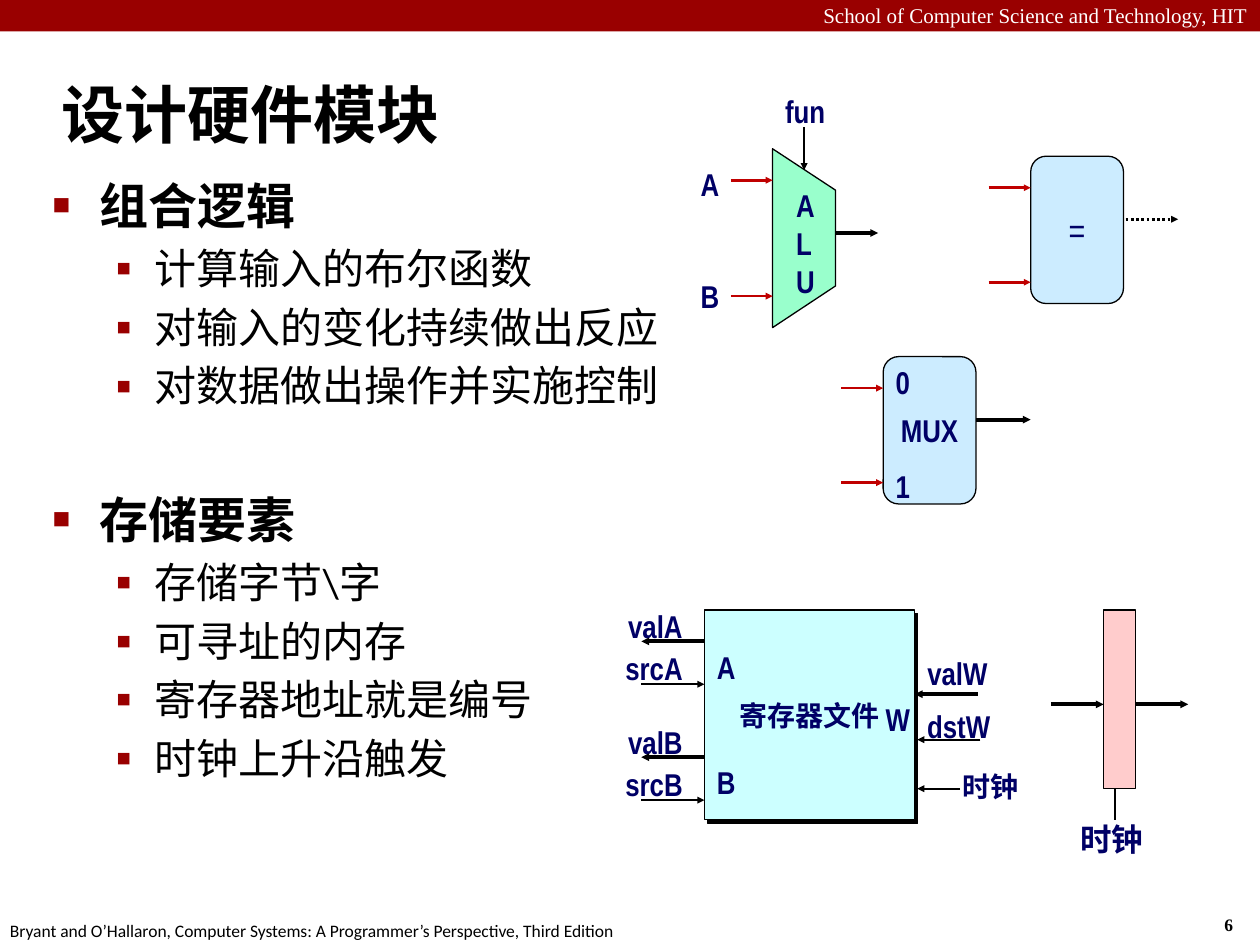
from lxml import etree
from pptx import Presentation
from pptx.dml.color import RGBColor
from pptx.enum.dml import MSO_LINE
from pptx.enum.shapes import MSO_CONNECTOR, MSO_SHAPE
from pptx.enum.text import MSO_ANCHOR, PP_ALIGN
from pptx.oxml.ns import qn
from pptx.util import Pt

RECT, ROUNDED, OVAL = MSO_SHAPE.RECTANGLE, MSO_SHAPE.ROUNDED_RECTANGLE, MSO_SHAPE.OVAL
LEFT, CENTER, RIGHT = PP_ALIGN.LEFT, PP_ALIGN.CENTER, PP_ALIGN.RIGHT
MIDDLE, TOP = MSO_ANCHOR.MIDDLE, MSO_ANCHOR.TOP
STRAIGHT = MSO_CONNECTOR.STRAIGHT
DOTTED = MSO_LINE.ROUND_DOT
BLACK, NAVY, CRIMSON, RED = "000000", "000066", "990000", "C00000"
color = RGBColor.from_string

prs = Presentation()
prs.slide_width, prs.slide_height = Pt(720), Pt(540)
slide = prs.slides.add_slide(prs.slide_layouts[5])
shapes = slide.shapes


def part(kind, box, text="", size=18, align=CENTER, fill=None, font="Arial Narrow",
         ink=NAVY, bold=True, wrap=True, inset=7.2, spacing=None):
    box = [Pt(v) for v in box]
    shape = shapes.add_shape(kind, *box) if kind else shapes.add_textbox(*box)
    if kind:
        shape.shadow.inherit = False
        shape.line.fill.background()
        shape.fill.background()
    if fill:
        shape.fill.solid()
        shape.fill.fore_color.rgb = color(fill)
        shape.line.color.rgb = color(BLACK)
        shape.line.width = Pt(0.75)
    frame = shape.text_frame
    frame.word_wrap = wrap
    frame.vertical_anchor = MIDDLE if kind else TOP
    frame.margin_left = frame.margin_right = Pt(inset)
    frame.text = text
    for paragraph in frame.paragraphs:
        paragraph.alignment = align
        paragraph.line_spacing = spacing
        for run in paragraph.runs:
            run.font.name, run.font.size, run.font.bold = font, Pt(size), bold
            run.font.color.rgb = color(ink)
    return shape


def wire(x1, y1, x2, y2, width=2.25, ink=BLACK, head=True, dash=None):
    line = shapes.add_connector(STRAIGHT, Pt(x1), Pt(y1), Pt(x2), Pt(y2))
    line.line.color.rgb = color(ink)
    line.line.width = Pt(width)
    if dash:
        line.line.dash_style = dash
    if head:
        etree.SubElement(line.line._get_or_add_ln(), qn("a:tailEnd"),
                         type="triangle", w="sm", len="sm")
    etree.SubElement(line._element.spPr, qn("a:effectLst"))


header = part(RECT, (0, 0, 720, 18), fill=CRIMSON)
header.line.fill.background()
part(None, (0, -2.2, 720, 21.8), "School of Computer Science and Technology, HIT", 12, RIGHT,
     font="Times New Roman", ink="FFFFFF", bold=False)
part(None, (692.6, 519, 26.6, 19.4), "6", 10, LEFT, font="Times New Roman", ink=BLACK, wrap=False)
part(None, (-1.4, 522, 365.8, 19.4),
     "Bryant and O’Hallaron, Computer Systems: A Programmer’s Perspective, Third Edition",
     10, LEFT, font="Calibri", ink=BLACK, bold=False, wrap=False)

title = shapes.title
title.left, title.top, title.width, title.height = Pt(28), Pt(34.6), Pt(692), Pt(59.8)
title.text_frame.text = "设计硬件模块"
title.text_frame.vertical_anchor = MIDDLE
heading = title.text_frame.paragraphs[0]
heading.alignment = LEFT
heading.font.name, heading.font.size, heading.font.bold = "Calibri", Pt(36), True
heading.font.color.rgb = color(BLACK)

topics = [
    ("组合逻辑", ["计算输入的布尔函数", "对输入的变化持续做出反应", "对数据做出操作并实施控制"]),
    ("存储要素", ["存储字节\\字", "可寻址的内存", "寄存器地址就是编号", "时钟上升沿触发"]),
]
rows = [row for topic, points in topics
        for row in [(topic, 0)] + [(point, 1) for point in points]]
outline = shapes.add_textbox(Pt(23), Pt(96.5), Pt(391.7), Pt(411)).text_frame
outline.word_wrap = True
outline.text = "\n".join(text for text, level in rows)
for index, (paragraph, (text, level)) in enumerate(zip(outline.paragraphs, rows)):
    indent, hang, size, bullet, scale = [(27, 27, 28, "■", 60), (58.5, 22.5, 24, "▪", 110)][level]
    paragraph.level = level
    props = paragraph._p.get_or_add_pPr()
    props.set("marL", str(Pt(indent)))
    props.set("indent", str(-Pt(hang)))
    if index:
        paragraph.space_before = Pt(4.8 if level else 45)
    bullet_color = etree.SubElement(props, qn("a:buClr"))
    etree.SubElement(bullet_color, qn("a:srgbClr"), val=CRIMSON)
    etree.SubElement(props, qn("a:buSzPct"), val=str(scale * 1000))
    etree.SubElement(props, qn("a:buFont"), typeface="Arial")
    etree.SubElement(props, qn("a:buChar"), char=bullet)
    for run in paragraph.runs:
        run.font.name, run.font.size, run.font.bold = "Calibri", Pt(size), not level
        run.font.color.rgb = color(BLACK)

register_file = part(RECT, (402.5, 348.5, 120, 120), "寄存器文件", 16, fill="CCFFFF", wrap=False)
effects = register_file._element.spPr.find(qn("a:effectLst"))
shadow = etree.SubElement(effects, qn("a:outerShdw"), dist=str(Pt(2.8)), dir="2700000",
                          algn="ctr", rotWithShape="0")
etree.SubElement(shadow, qn("a:srgbClr"), val=BLACK)
for port, y in [("A", 366.5), ("B", 432.7)]:
    part(None, (402.5, y, 24, 28.8), port)
    part(OVAL, (366.5, y - 24, 36, 30), "val" + port, align=RIGHT, wrap=False)
    part(OVAL, (366.5, y, 36, 30), "src" + port, align=RIGHT, wrap=False)
    wire(402.5, y, 366.5, y)
    wire(366.5, y + 24.5, 402.5, y + 24.5, 1)
part(None, (499, 396.7, 24, 28.8), "W")
part(OVAL, (540.7, 369.4, 36, 30), "valW", align=RIGHT, wrap=False)
part(OVAL, (542.2, 399.6, 36, 30), "dstW", align=RIGHT, wrap=False)
wire(558.7, 396.7, 522.7, 396.7)
wire(560.2, 422.7, 524.2, 422.7, 1)
wire(548.6, 450.7, 524.2, 450.7, 1)
part(None, (546.5, 438.5, 39.6, 24.5), "时钟", 16, LEFT, wrap=False, inset=3.6, spacing=0.9)

wire(459.5, 72.7, 459.5, 97.2, 0.75)
builder = shapes.build_freeform(Pt(441.5), Pt(85), scale=1.0)
builder.add_line_segments([(Pt(477.5), Pt(108.7)), (Pt(477.5), Pt(163.4)),
                           (Pt(441.5), Pt(187.2))], close=True)
alu = builder.convert_to_shape()
alu.shadow.inherit = False
alu.fill.solid()
alu.fill.fore_color.rgb = color("99FFCC")
alu.line.color.rgb = color(BLACK)
alu.line.width = Pt(0.75)
part(None, (447.8, 103, 30.2, 72.7), "A\nL\nU", align=LEFT)
part(None, (435.6, 49, 49, 28.8), "fun")
wire(477.5, 133.2, 501.8, 133.2)
for operand, label_top, y in [("A", 90.7, 103), ("B", 154.8, 169.2)]:
    part(None, (369, label_top, 49, 28.8), operand, align=RIGHT)
    wire(417.6, y, 441.5, y, 1.5, RED)

wire(553, 239.8, 589, 239.8)
wire(637.2, 125.3, 673.2, 125.3, 1.5, dash=DOTTED)
for x, y, symbol, size in [(504.7, 203.8, "MUX", 18), (589, 89.3, "=", 20)]:
    part(ROUNDED, (x, y, 53, 84.2), symbol, size, fill="CCECFF", bold=size == 18, wrap=False)
    for offset in (18, 72):
        wire(x - 24, y + offset, x, y + offset, 1.5, RED)
for choice, y in [("0", 203.8), ("1", 263.5)]:
    part(None, (504.7, y, 36, 28.8), choice, align=LEFT)

wire(648.7, 402.5, 679, 402.5)
part(RECT, (630.7, 348.5, 18, 102.2), fill="FFCCCC")
wire(637.2, 450.7, 637.2, 468.7, 1.5, head=False)
part(None, (613.4, 467.3, 44, 26.6), "时钟", wrap=False, inset=3.6, spacing=0.9)
wire(600.5, 402.5, 630.7, 402.5)

prs.save("out.pptx")
